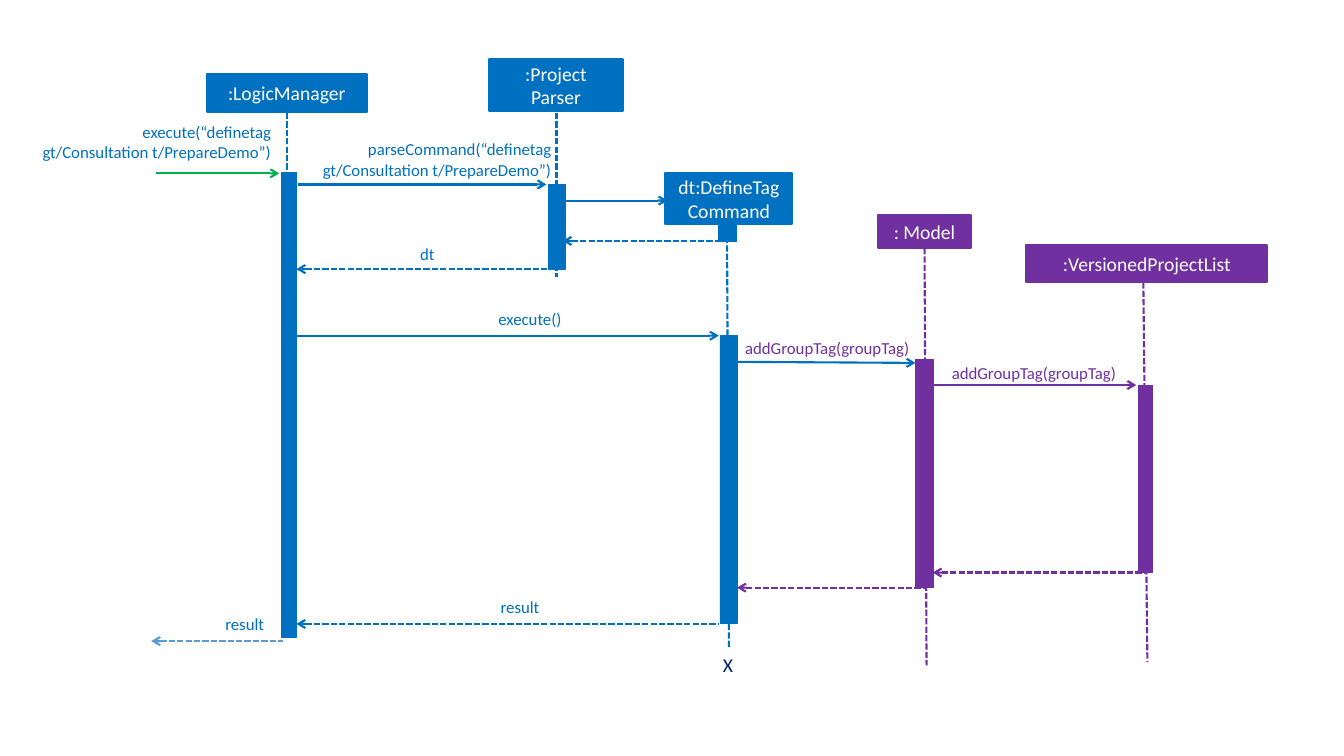
from lxml.etree import SubElement
from pptx import Presentation
from pptx.dml.color import RGBColor
from pptx.enum.dml import MSO_LINE
from pptx.enum.shapes import MSO_CONNECTOR, MSO_SHAPE
from pptx.enum.text import MSO_ANCHOR, MSO_AUTO_SIZE, PP_ALIGN
from pptx.oxml.ns import qn
from pptx.util import Inches, Pt

LOGIC = "0070C0"
MODEL = "7030A0"
CALLER = "00B050"
REPLY = "5B9BD5"
DESTROY = "002060"
WHITE = "FFFFFF"

LIFELINES = [
    (2.85, 1.12, 2.85, 4.93, LOGIC),
    (5.52, 1.12, 5.52, 2.75, LOGIC),
    (7.21, 2.1, 7.23, 6.43, LOGIC),
    (9.17, 2.46, 9.19, 6.6, MODEL),
    (11.34, 2.8, 11.38, 6.57, MODEL),
]
ACTIVATIONS = [
    (2.79, 1.71, 0.15, 4.61, LOGIC),
    (5.44, 1.83, 0.17, 0.84, LOGIC),
    (7.13, 2.1, 0.17, 0.3, LOGIC),
    (7.14, 3.33, 0.17, 2.86, LOGIC),
    (9.08, 3.57, 0.18, 2.26, MODEL),
    (11.29, 3.82, 0.14, 1.86, MODEL),
]
PARTICIPANTS = [
    (":LogicManager", 2.05, 0.73, 1.59, 0.38, LOGIC),
    (":Project\nParser", 4.85, 0.59, 1.33, 0.51, LOGIC),
    ("dt:DefineTag\vCommand", 6.6, 1.72, 1.26, 0.5, LOGIC),
    (": Model", 8.71, 2.13, 0.92, 0.33, MODEL),
    (":VersionedProjectList", 10.18, 2.43, 2.39, 0.37, MODEL),
]
CALLS = [
    (1.55, 1.72, 2.77, 1.72, CALLER),
    (2.96, 1.83, 5.42, 1.83, LOGIC),
    (5.61, 1.99, 6.62, 1.99, LOGIC),
    (2.94, 3.33, 7.13, 3.33, LOGIC),
    (7.31, 3.59, 9.08, 3.6, LOGIC),
    (9.25, 3.82, 11.27, 3.82, MODEL),
]
RETURNS = [
    (5.58, 2.39, 7.21, LOGIC),
    (2.94, 2.67, 5.51, LOGIC),
    (9.25, 5.68, 11.36, MODEL),
    (7.31, 5.83, 9.17, MODEL),
    (2.94, 6.19, 7.13, LOGIC),
    (1.5, 6.36, 2.81, REPLY),
]
LABELS = [
    ("execute(“definetag gt/Consultation t/PrepareDemo”)", 0.42, 1.21, 2.27, 0.4, LOGIC),
    ("parseCommand(“definetag gt/Consultation t/PrepareDemo”)", 3.01, 1.38, 2.46, 0.4, LOGIC),
    ("dt", 4.07, 2.42, 0.24, 0.2, LOGIC),
    ("execute()", 4.63, 3.06, 0.94, 0.2, LOGIC),
    ("addGroupTag(groupTag)", 7.25, 3.35, 1.77, 0.2, MODEL),
    ("addGroupTag(groupTag)", 9.37, 3.6, 1.7, 0.2, MODEL),
    ("result", 4.67, 5.92, 0.68, 0.2, LOGIC),
    ("result", 1.79, 6.09, 0.83, 0.2, LOGIC),
]


def color(value):
    return RGBColor.from_string(value)


def write(text_frame, text, size, text_color, alignment):
    text_frame.text = text
    for paragraph in text_frame.paragraphs:
        paragraph.alignment = alignment
        for run in paragraph.runs:
            run.font.name = "Calibri"
            run.font.size = Pt(size)
            run.font.color.rgb = color(text_color)


def add_bar(slide, left, top, width, height, bar_color, line_width=0.5):
    shape = slide.shapes.add_shape(
        MSO_SHAPE.RECTANGLE, Inches(left), Inches(top), Inches(width), Inches(height))
    shape.shadow.inherit = False
    shape.fill.solid()
    shape.fill.fore_color.rgb = color(bar_color)
    shape.line.color.rgb = color(bar_color)
    shape.line.width = Pt(line_width)
    return shape


def add_participant(slide, name, left, top, width, height, box_color):
    shape = add_bar(slide, left, top, width, height, box_color, 1.5)
    shape.text_frame.word_wrap = True
    shape.text_frame.vertical_anchor = MSO_ANCHOR.MIDDLE
    write(shape.text_frame, name, 14, WHITE, PP_ALIGN.CENTER)


def add_line(slide, x1, y1, x2, y2, line_color, dashed=False, arrow=None):
    connector = slide.shapes.add_connector(
        MSO_CONNECTOR.STRAIGHT, Inches(x1), Inches(y1), Inches(x2), Inches(y2))
    connector.line.color.rgb = color(line_color)
    connector.line.width = Pt(1.5)
    if dashed:
        connector.line.dash_style = MSO_LINE.SQUARE_DOT
    properties = connector._element.spPr
    if arrow:
        SubElement(properties.find(qn("a:ln")), qn(arrow), type="arrow")
    SubElement(properties, qn("a:effectLst"))


def add_return(slide, left, y, right, line_color):
    add_line(slide, left, y, right, y, line_color, dashed=True, arrow="a:headEnd")


def add_text(slide, left, top, width, height):
    text_frame = slide.shapes.add_textbox(
        Inches(left), Inches(top), Inches(width), Inches(height)).text_frame
    text_frame.auto_size = MSO_AUTO_SIZE.SHAPE_TO_FIT_TEXT
    return text_frame


def add_label(slide, text, left, top, width, height, text_color):
    text_frame = add_text(slide, left, top, width, height)
    text_frame.word_wrap = True
    text_frame.margin_left = text_frame.margin_right = 0
    text_frame.margin_top = text_frame.margin_bottom = 0
    write(text_frame, text, 12, text_color, PP_ALIGN.RIGHT)


def add_destruction(slide, left, top, width, height):
    text_frame = add_text(slide, left, top, width, height)
    text_frame.word_wrap = False
    write(text_frame, "X", 14, DESTROY, PP_ALIGN.LEFT)


def main():
    presentation = Presentation()
    presentation.slide_width = Inches(13.33)
    presentation.slide_height = Inches(7.5)
    slide = presentation.slides.add_slide(presentation.slide_layouts[6])
    for lifeline in LIFELINES:
        add_line(slide, *lifeline, dashed=True)
    for activation in ACTIVATIONS:
        add_bar(slide, *activation)
    for participant in PARTICIPANTS:
        add_participant(slide, *participant)
    for call in CALLS:
        add_line(slide, *call, arrow="a:tailEnd")
    for reply in RETURNS:
        add_return(slide, *reply)
    for label in LABELS:
        add_label(slide, *label)
    add_destruction(slide, 7.07, 6.43, 0.31, 0.34)
    presentation.save("out.pptx")


main()
